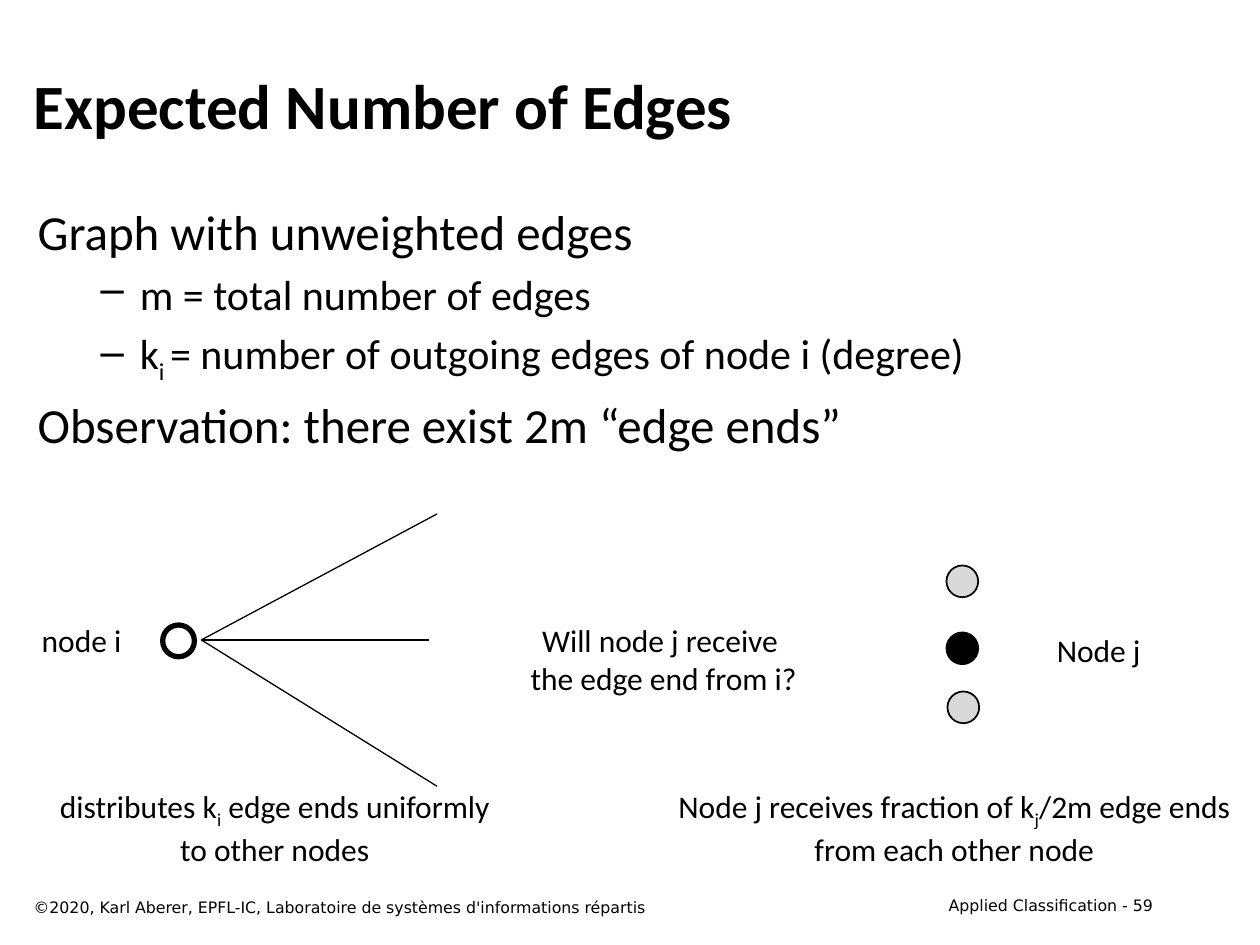
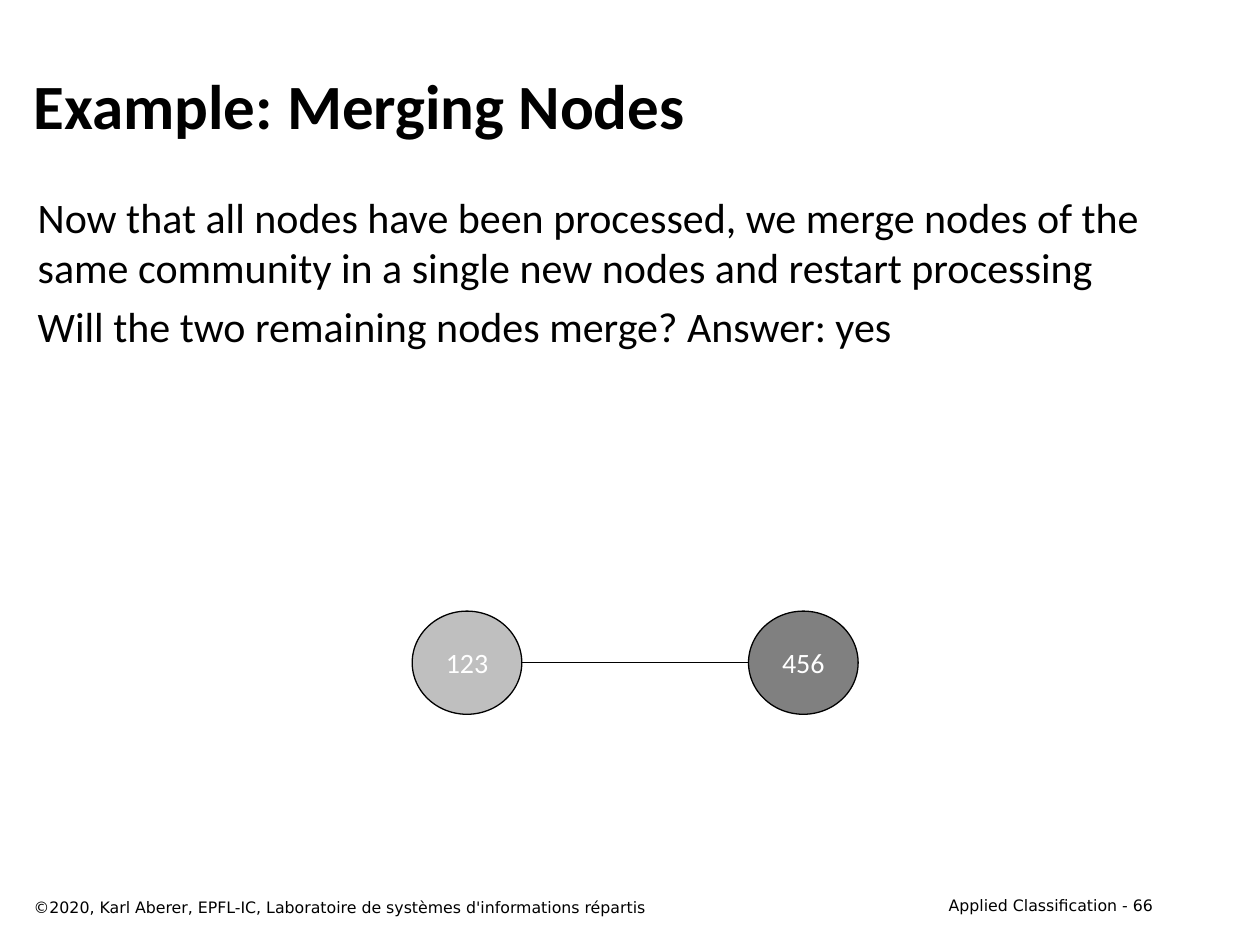
from dataclasses import dataclass

from lxml import etree
from pptx import Presentation
from pptx.dml.color import RGBColor
from pptx.enum.shapes import MSO_CONNECTOR, MSO_SHAPE
from pptx.enum.text import MSO_ANCHOR, PP_ALIGN
from pptx.oxml.ns import qn
from pptx.util import Cm, Pt

OVAL = MSO_SHAPE.OVAL
STRAIGHT = MSO_CONNECTOR.STRAIGHT
LEFT, CENTER, RIGHT = PP_ALIGN.LEFT, PP_ALIGN.CENTER, PP_ALIGN.RIGHT
TOP, MIDDLE = MSO_ANCHOR.TOP, MSO_ANCHOR.MIDDLE


@dataclass(frozen=True)
class Theme:
    font: str = "Calibri"
    footer_font: str = "DejaVu Sans"
    black: RGBColor = RGBColor(0, 0, 0)
    white: RGBColor = RGBColor(255, 255, 255)
    pale: RGBColor = RGBColor(0xD9, 0xD9, 0xD9)
    light: RGBColor = RGBColor(0xBF, 0xBF, 0xBF)
    dark: RGBColor = RGBColor(0x80, 0x80, 0x80)
    title: int = 36
    topic: int = 28
    point: int = 24
    label: int = 18
    node: int = 16
    footer: int = 9
    thin: float = 0.75
    space: float = 0.2


THEME = Theme()
COPYRIGHT = "©2020, Karl Aberer, EPFL-IC, Laboratoire de systèmes d'informations répartis"
SUBSCRIPT = "~"
DOT = 0.64


def write(p, text, size, font=THEME.font, color=THEME.black, bold=False):
    for i, part in enumerate(text.split(SUBSCRIPT)):
        r = p.add_run()
        r.text = part
        r.font.name = font
        r.font.size = Pt(size)
        r.font.bold = bold
        r.font.color.rgb = color
        if i % 2:
            r.font._element.set("baseline", "-25000")


def add_dash(p):
    p.level = 1
    pPr = p._p.get_or_add_pPr()
    pPr.set("marL", str(Cm(2.06)))
    pPr.set("indent", str(Cm(-0.79)))
    etree.SubElement(pPr, qn("a:buChar")).set("char", "–")


def add_text(s, box, lines, size, align=LEFT, anchor=TOP, wrap=True, **style):
    tf = s.shapes.add_textbox(*map(Cm, box)).text_frame
    tf.word_wrap = wrap
    tf.vertical_anchor = anchor
    for i, line in enumerate(lines):
        p = tf.add_paragraph() if i else tf.paragraphs[0]
        p.alignment = align
        write(p, line, size, **style)


def add_label(s, box, *lines):
    add_text(s, box, lines, THEME.label, CENTER, wrap=False)


def add_body(s, top, height, points):
    tf = s.shapes.add_textbox(Cm(0.51), Cm(top), Cm(23.06), Cm(height)).text_frame
    tf.word_wrap = True
    for i, (text, size, dashed) in enumerate(points):
        p = tf.add_paragraph() if i else tf.paragraphs[0]
        if i:
            p.space_before = Pt(size * THEME.space)
        if dashed:
            add_dash(p)
        write(p, text, size)


def add_node(s, x, y, width=DOT, height=DOT, fill=None, line=1, text=""):
    sp = s.shapes.add_shape(OVAL, Cm(x), Cm(y), Cm(width), Cm(height))
    sp.shadow.inherit = False
    if fill is None:
        sp.fill.background()
    else:
        sp.fill.solid()
        sp.fill.fore_color.rgb = fill
    sp.line.color.rgb = THEME.black
    sp.line.width = Pt(line)
    if text:
        tf = sp.text_frame
        tf.vertical_anchor = MIDDLE
        tf.paragraphs[0].alignment = CENTER
        write(tf.paragraphs[0], text, THEME.node, color=THEME.white)


def add_edge(s, start, end):
    c = s.shapes.add_connector(STRAIGHT, *map(Cm, start + end))
    c.line.color.rgb = THEME.black
    c.line.width = Pt(THEME.thin)
    etree.SubElement(c._element.spPr, qn("a:effectLst"))


def add_slide(prs, title, number):
    s = prs.slides.add_slide(prs.slide_layouts[6])
    add_text(s, (0.43, 0.84, 23.06, 2.54), [title], THEME.title, anchor=MIDDLE, bold=True)
    add_text(s, (18.21, 17.93, 5.28, 0.64), [f"Applied Classification - {number}"],
             THEME.footer, RIGHT, font=THEME.footer_font)
    add_text(s, (0.43, 17.98, 16.31, 0.64), [COPYRIGHT],
             THEME.footer, font=THEME.footer_font)
    return s


def expected_edges(prs):
    s = add_slide(prs, "Expected Number of Edges", 59)
    add_body(s, 3.94, 13.77, [
        ("Graph with unweighted edges", THEME.topic, False),
        ("m = total number of edges", THEME.point, True),
        ("k~i ~= number of outgoing edges of node i (degree)", THEME.point, True),
        ("Observation: there exist 2m “edge ends”", THEME.topic, False),
    ])
    add_node(s, 3.28, 12.6, line=3)
    for edge_end in ((8.81, 10.36), (8.64, 12.9), (8.81, 15.85)):
        add_edge(s, edge_end, (4.06, 12.9))
    for x, y, fill in ((19.08, 11.4, THEME.pale),
                       (19.08, 12.75, THEME.black),
                       (19.1, 13.94, THEME.pale)):
        add_node(s, x, y, fill=fill)
    add_label(s, (0.58, 12.4, 2.13, 1.02), "node i")
    add_label(s, (10.41, 12.4, 5.94, 1.8), "Will node j receive ", "the edge end from i?")
    add_label(s, (21.03, 12.6, 2.24, 1.02), "Node j")
    add_label(s, (0.89, 15.75, 9.3, 1.8),
              "distributes k~i~ edge ends uniformly", "to other nodes")
    add_label(s, (13.34, 15.75, 11.94, 1.8),
              "Node j receives fraction of k~j~/2m edge ends ", "from each other node ")


def merging_nodes(prs):
    s = add_slide(prs, "Example: Merging Nodes", 66)
    add_body(s, 3.73, 6.4, [
        ("Now that all nodes have been processed, we merge nodes of the same "
         "community in a single new nodes and restart processing", THEME.point, False),
        ("Will the two remaining nodes merge? Answer: yes", THEME.point, False),
    ])
    left, right, top, width, height = 8.31, 15.09, 12.32, 2.21, 2.08
    for x, fill, text in ((left, THEME.light, "123"), (right, THEME.dark, "456")):
        add_node(s, x, top, width, height, fill, THEME.thin, text)
    middle = top + height / 2
    add_edge(s, (left + width, middle), (right, middle))


def main():
    prs = Presentation()
    prs.slide_width, prs.slide_height = Cm(25.4), Cm(19.05)
    expected_edges(prs)
    merging_nodes(prs)
    prs.save("out.pptx")


if __name__ == "__main__":
    main()
